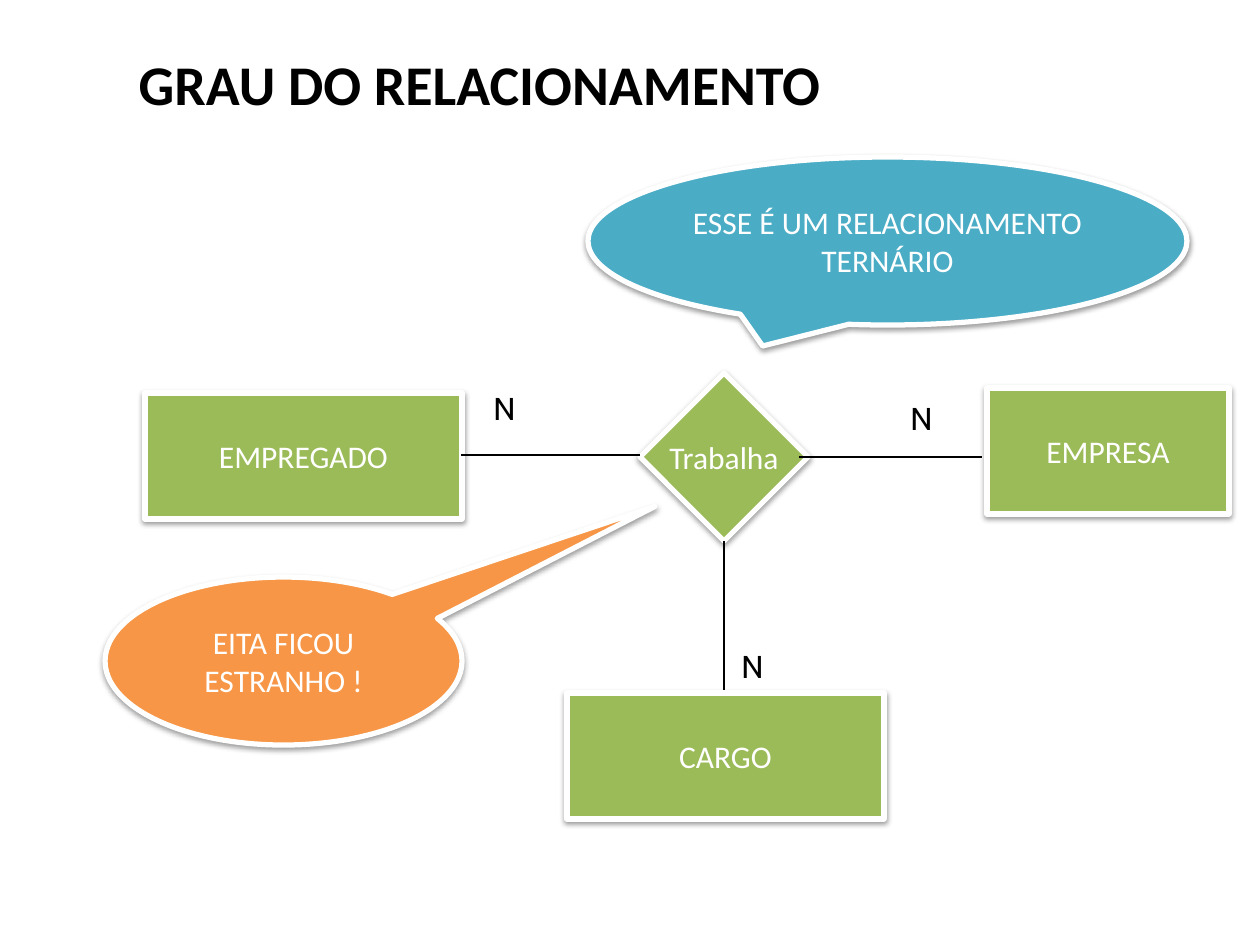
from lxml import etree
from pptx import Presentation
from pptx import util as u
from pptx.dml.color import RGBColor
from pptx.enum import shapes as sh, text as tx
from pptx.oxml import parse_xml
from pptx.oxml.ns import qn

NS = "http://schemas.openxmlformats.org/drawingml/2006/main"
WHITE, BLACK = "FFFFFF", "000000"
GREEN, TEAL, ORANGE = "9BBB59", "4BACC6", "F79646"
KIND = sh.MSO_SHAPE
SHADOW = f"""<a:effectLst xmlns:a="{NS}">
<a:outerShdw blurRad="40000" dist="20000" dir="5400000" rotWithShape="0">
<a:srgbClr val="{BLACK}"><a:alpha val="38000"/></a:srgbClr>
</a:outerShdw></a:effectLst>"""


def px(n):
    return u.Emu(round(n * 914400 / 126))


def rgb(code):
    return RGBColor.from_string(code)


def style(frame, words, size, color, face="Calibri", bold=False, align=tx.PP_ALIGN.CENTER):
    frame.text = words
    par = frame.paragraphs[0]
    par.alignment = align
    font = par.runs[0].font
    font.name, font.size, font.bold = face, u.Pt(size), bold
    font.color.rgb = rgb(color)


def set_title(slide, words, box):
    title = slide.shapes.title
    title.left, title.top, title.width, title.height = map(px, box)
    frame = title.text_frame
    frame.vertical_anchor = tx.MSO_ANCHOR.TOP
    style(frame, words, 32, BLACK, bold=True, align=tx.PP_ALIGN.LEFT)


def add_node(slide, kind, words, box, fill, wrap=False):
    node = slide.shapes.add_shape(kind, *map(px, box))
    node.fill.solid()
    node.fill.fore_color.rgb = rgb(fill)
    node.line.color.rgb = rgb(WHITE)
    node.line.width = u.Pt(3)
    node._element.spPr.append(parse_xml(SHADOW))
    frame = node.text_frame
    frame.word_wrap = wrap
    frame.vertical_anchor = tx.MSO_ANCHOR.MIDDLE
    style(frame, words, 18, WHITE)
    return node


def add_mark(slide, x, y):
    mark = slide.shapes.add_textbox(px(x), px(y), px(47), px(50))
    frame = mark.text_frame
    frame.word_wrap = False
    frame.auto_size = tx.MSO_AUTO_SIZE.SHAPE_TO_FIT_TEXT
    style(frame, "N", 18, BLACK, "Cabin", align=tx.PP_ALIGN.LEFT)


def add_link(slide, *ends):
    link = slide.shapes.add_connector(sh.MSO_CONNECTOR.STRAIGHT, *map(px, ends))
    link.line.color.rgb = rgb(BLACK)
    link.line.width = u.Pt(0.75)
    etree.SubElement(link._element.spPr, qn("a:effectLst"))


def main():
    prs = Presentation()
    prs.slide_width, prs.slide_height = px(1260), px(945)
    slide = prs.slides.add_slide(prs.slide_layouts[5])
    set_title(slide, "GRAU DO RELACIONAMENTO", (126, 43, 1134, 93))

    # Entities and their relationship
    for words, box in (
        ("EMPREGADO", (145, 393, 317, 126)),
        ("EMPRESA", (987, 388, 242, 126)),
        ("CARGO", (567, 693, 317, 126)),
    ):
        add_node(slide, KIND.RECTANGLE, words, box, GREEN)
    add_node(slide, KIND.DIAMOND, "Trabalha", (640, 373, 168, 168), GREEN)

    # Links and cardinalities
    for ends in ((724, 541, 724, 690), (640, 455, 461, 455), (982, 457, 799, 457)):
        add_link(slide, *ends)
    for x, y in ((481, 383), (898, 393), (729, 641)):
        add_mark(slide, x, y)

    # Speech balloons
    add_node(slide, KIND.OVAL_CALLOUT, "ESSE É UM RELACIONAMENTO TERNÁRIO",
             (588, 157, 599, 168), TEAL, wrap=True)
    doubt = add_node(slide, KIND.OVAL_CALLOUT, "EITA FICOU ESTRANHO !",
                     (105, 577, 357, 168), ORANGE, wrap=True)
    doubt.adjustments[0], doubt.adjustments[1] = 1.04, -0.92

    prs.save("out.pptx")


if __name__ == "__main__":
    main()
